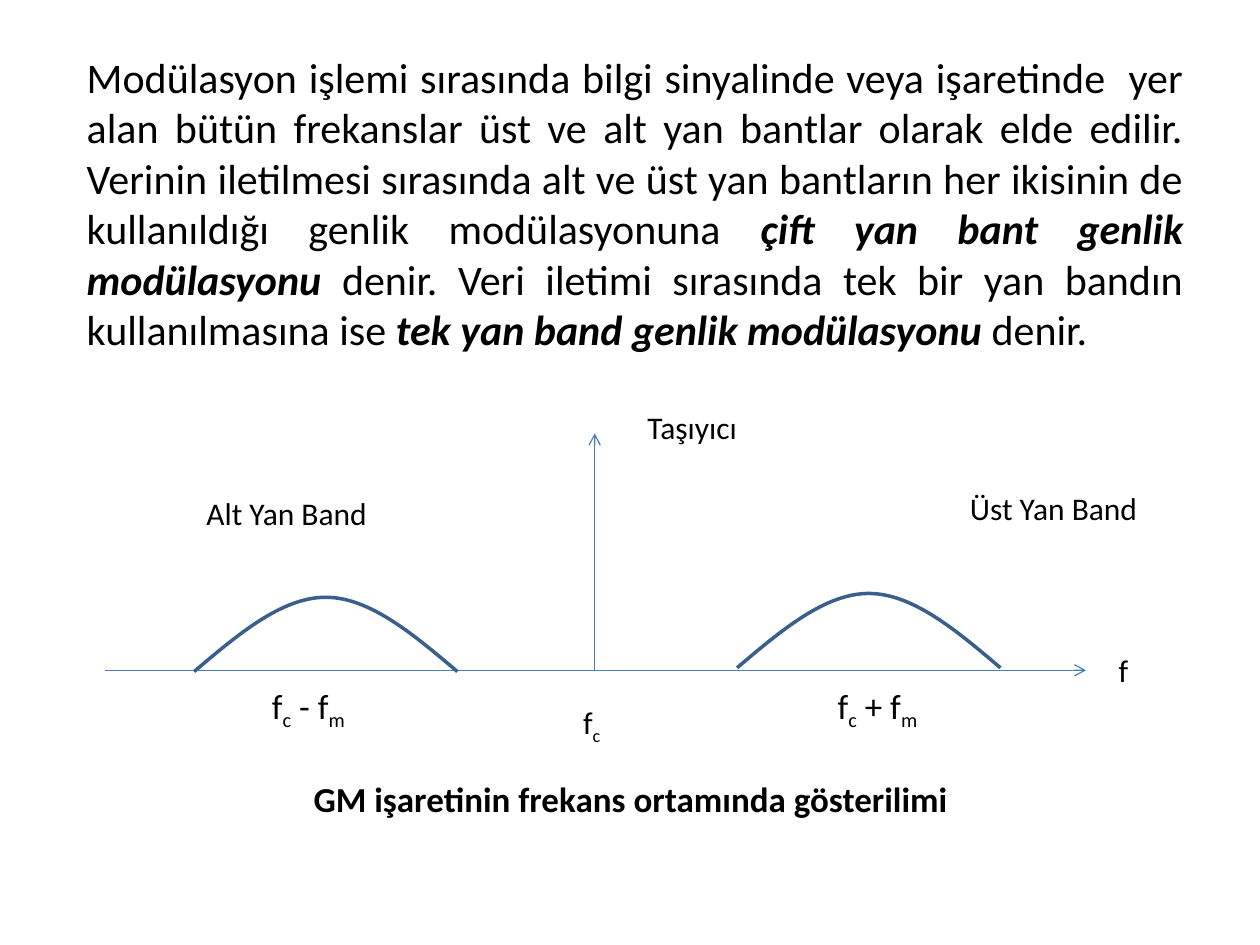
import pptx
import pptx.dml.color
import pptx.enum.shapes
import pptx.enum.text
import pptx.oxml
import pptx.oxml.ns
import pptx.util
from pptx.util import Inches

COLORS = {"text": "000000", "axis": "4B7EBC", "band": "3A5F8C"}
FONT = "Calibri"
NORMAL, STRONG, BOLD, SUB = "normal", "strong", "bold", "sub"

DEFINITION = [
    ("Modülasyon işlemi sırasında bilgi sinyalinde veya işaretinde  yer alan bütün "
     "frekanslar üst ve alt yan bantlar olarak elde edilir. Verinin iletilmesi sırasında "
     "alt ve üst yan bantların her ikisinin de kullanıldığı genlik modülasyonuna ", NORMAL),
    ("çift yan bant genlik modülasyonu ", STRONG),
    ("denir. Veri iletimi sırasında tek bir yan bandın kullanılmasına ise ", NORMAL),
    ("tek yan band genlik modülasyonu ", STRONG),
    ("denir.", NORMAL),
]


def rgb(name):
    """Return the palette colour of that name."""
    return pptx.dml.color.RGBColor.from_string(COLORS[name])


def add_text(slide, box, pieces, size, align=pptx.enum.text.PP_ALIGN.LEFT):
    """Place styled text pieces in a box of left, top, width and height in inches."""
    frame = slide.shapes.add_textbox(*map(Inches, box)).text_frame
    frame.word_wrap = True
    paragraph = frame.paragraphs[0]
    paragraph.alignment = align
    for wording, style in pieces:
        run = paragraph.add_run()
        run.text = wording
        run.font.name = FONT
        run.font.size = pptx.util.Pt(size)
        run.font.color.rgb = rgb("text")
        run.font.bold = style in (STRONG, BOLD)
        run.font.italic = style == STRONG
        if style == SUB:
            run.font._element.set("baseline", "-25000")


def add_axis(slide, start, end):
    """Draw an axis with an open arrowhead at its end."""
    axis = slide.shapes.add_connector(
        pptx.enum.shapes.MSO_CONNECTOR.STRAIGHT, *map(Inches, start + end))
    axis.line.color.rgb = rgb("axis")
    axis.line.width = pptx.util.Pt(0.75)
    ns = pptx.oxml.ns.nsdecls("a")
    axis.line._get_or_add_ln().append(
        pptx.oxml.parse_xml(f'<a:tailEnd {ns} type="arrow"/>'))
    axis._element.spPr.append(pptx.oxml.parse_xml(f"<a:effectLst {ns}/>"))


def add_band(slide, box):
    """Draw a smooth sideband hump that fills the box."""
    left, top, width, height = map(Inches, box)
    foot, peak, end = (0, height), (width // 2, 0), (width, height)
    builder = slide.shapes.build_freeform(left, top + height)
    builder.add_line_segments(
        [(left + x, top + y) for x, y in (peak, end)], close=False)
    band = builder.convert_to_shape()
    band.shadow.inherit = False
    band.fill.background()
    band.line.color.rgb = rgb("band")
    band.line.width = pptx.util.Pt(2)

    shoulders = [((width // 6, height // 2), (width // 3, 0)),
                 ((width * 2 // 3, 0), (width * 5 // 6, height // 2))]
    segments = band._element.findall(".//" + pptx.oxml.ns.qn("a:lnTo"))
    for segment, controls, target in zip(segments, shoulders, (peak, end)):
        points = "".join(f'<a:pt x="{x}" y="{y}"/>' for x, y in (*controls, target))
        curve = pptx.oxml.parse_xml(
            f'<a:cubicBezTo {pptx.oxml.ns.nsdecls("a")}>{points}</a:cubicBezTo>')
        segment.getparent().replace(segment, curve)


def add_spectrum(slide, box):
    """Draw the axes, sidebands and labels of the spectrum inside the box."""
    left, top, width, height = box
    base = top + height
    carrier = left + 3.89
    add_axis(slide, (left, base), (left + width, base))
    add_axis(slide, (carrier, base), (carrier, top))
    for x, y in ((0.71, 1.3), (5.02, 1.27)):
        add_band(slide, (left + x, top + y, 2.09, 0.59))

    fc = [("f", NORMAL), ("c", SUB)]
    fm = [("f", NORMAL), ("m", SUB)]
    labels = [
        (4.21, -0.25, [("Taşıyıcı", NORMAL)], 18),
        (6.77, 0.39, [("Üst Yan Band", NORMAL)], 18),
        (0.71, 0.43, [("Alt Yan Band", NORMAL)], 18),
        (7.95, 1.68, [("f", NORMAL)], 18),
        (3.7, 2.09, fc, 18),
        (1.23, 1.94, fc + [(" - ", NORMAL)] + fm, 20),
        (5.72, 1.94, fc + [(" + ", NORMAL)] + fm, 20),
    ]
    for x, y, pieces, size in labels:
        add_text(slide, (left + x, top + y, 1.6, 0.4), pieces, size)


def main():
    """Build the slide and save it."""
    deck = pptx.Presentation()
    deck.slide_width, deck.slide_height = Inches(10), Inches(7.5)
    slide = deck.slides.add_slide(deck.slide_layouts[6])
    add_text(slide, (0.59, 0.36, 8.9, 2.83), DEFINITION, 24,
             pptx.enum.text.PP_ALIGN.JUSTIFY)
    add_spectrum(slide, (0.83, 3.44, 7.79, 1.88))
    add_text(slide, (2.39, 6.12, 5.3, 0.74),
             [("GM işaretinin frekans ortamında gösterilimi", BOLD)], 20)
    deck.save("out.pptx")


if __name__ == "__main__":
    main()
